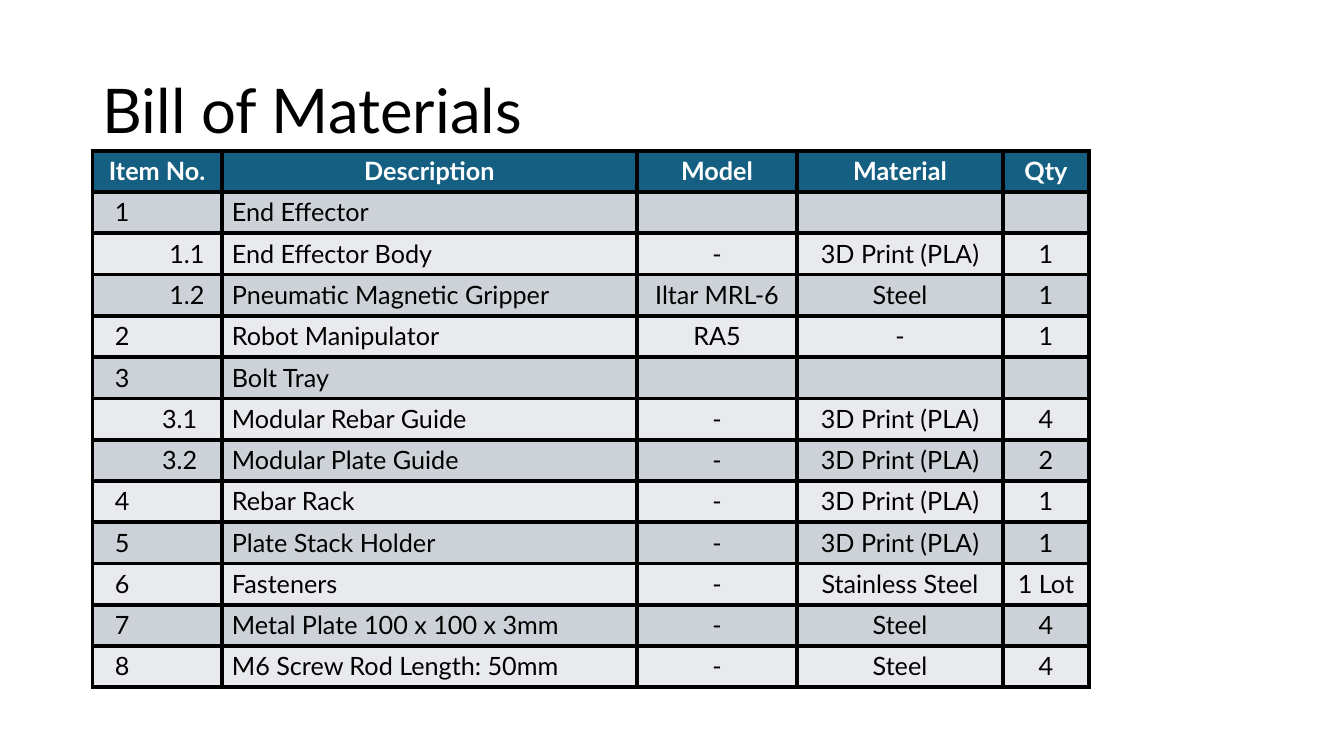
from lxml import etree
from pptx import Presentation
from pptx.dml.color import RGBColor
from pptx.enum.text import MSO_ANCHOR, PP_ALIGN
from pptx.oxml.ns import qn
from pptx.util import Cm, Pt

LEFT, CENTER = PP_ALIGN.LEFT, PP_ALIGN.CENTER
MIDDLE = MSO_ANCHOR.MIDDLE

# Content
TITLE = "Bill of Materials"
HEADS = ("Item No.", "Description", "Model", "Material", "Qty")
PARTS = [
    ("1", "End Effector", "", "", ""),
    ("1.1", "End Effector Body", "-", "3D Print (PLA)", "1"),
    ("1.2", "Pneumatic Magnetic Gripper", "Iltar MRL-6", "Steel", "1"),
    ("2", "Robot Manipulator", "RA5", "-", "1"),
    ("3", "Bolt Tray", "", "", ""),
    ("3.1", "Modular Rebar Guide", "-", "3D Print (PLA)", "4"),
    ("3.2", "Modular Plate Guide", "-", "3D Print (PLA)", "2"),
    ("4", "Rebar Rack", "-", "3D Print (PLA)", "1"),
    ("5", "Plate Stack Holder", "-", "3D Print (PLA)", "1"),
    ("6", "Fasteners", "-", "Stainless Steel", "1 Lot"),
    ("7", "Metal Plate 100 x 100 x 3mm", "-", "Steel", "4"),
    ("8", "M6 Screw Rod Length: 50mm", "-", "Steel", "4"),
]
LEFT_ITEMS = ("3.1", "3.2")

# Look
FONT = "Lato"
BLACK = RGBColor(0x00, 0x00, 0x00)
WHITE = RGBColor(0xFF, 0xFF, 0xFF)
TEAL = RGBColor(0x15, 0x60, 0x82)
DARK = RGBColor(0xCC, 0xD2, 0xD8)
LIGHT = RGBColor(0xE8, 0xEA, 0xED)
WIDTHS = (1.5, 1.76, 10.46, 4.04, 5.18, 2.18)
ROW_H = 1.04
EDGE = 2.33


def style(para, size, color, bold=False, align=LEFT):
    para.alignment = align
    for run in para.runs:
        run.font.name = FONT
        run.font.size = Pt(size)
        run.font.bold = bold
        run.font.color.rgb = color


def border(cell, bare=""):
    """Draw all four sides, except the bare one."""
    props = cell._tc.get_or_add_tcPr()
    for side in "LRTB":
        line = etree.SubElement(props, qn(f"a:ln{side}"), w=str(Pt(3)))
        if side == bare:
            etree.SubElement(line, qn("a:noFill"))
        else:
            fill = etree.SubElement(line, qn("a:solidFill"))
            etree.SubElement(fill, qn("a:srgbClr"), val=str(BLACK))


def paint(cell, text, fill, color, bold, align, bare):
    border(cell, bare)
    cell.fill.solid()
    cell.fill.fore_color.rgb = fill
    cell.text_frame.text = text
    style(cell.text_frame.paragraphs[0], 18, color, bold, align)


def main():
    prs = Presentation()
    prs.slide_width, prs.slide_height = Cm(33.87), Cm(19.05)
    slide = prs.slides.add_slide(prs.slide_layouts[5])

    # Title
    title = slide.shapes.title
    title.left, title.top = Cm(EDGE), Cm(1.01)
    title.width, title.height = Cm(29.21), Cm(3.68)
    title.text_frame.text = TITLE
    title.text_frame.vertical_anchor = MIDDLE
    para = title.text_frame.paragraphs[0]
    para.line_spacing = 0.9
    style(para, 44, BLACK)

    # Table frame
    count = len(PARTS) + 1
    table = slide.shapes.add_table(
        count, len(WIDTHS), Cm(EDGE), Cm(3.8),
        Cm(sum(WIDTHS)), Cm(ROW_H * count)).table
    for col, width in zip(table.columns, WIDTHS):
        col.width = Cm(width)
    for row in table.rows:
        row.height = Cm(ROW_H)

    # Cells: main items sit in the first column, sub-items in the second
    for r, (item, *rest) in enumerate([HEADS] + PARTS):
        head = r == 0
        fill = TEAL if head else DARK if r % 2 else LIGHT
        pair = ("", item) if "." in item and not head else (item, "")
        for c, text in enumerate((*pair, *rest)):
            plain = not head and (c == 2 or text in LEFT_ITEMS)
            bare = {0: "R", 1: "L"}.get(c, "") if not head else ""
            paint(table.cell(r, c), text, fill, WHITE if head else BLACK,
                  head, LEFT if plain else CENTER, bare)
    table.cell(0, 0).merge(table.cell(0, 1))

    prs.save("out.pptx")


if __name__ == "__main__":
    main()
